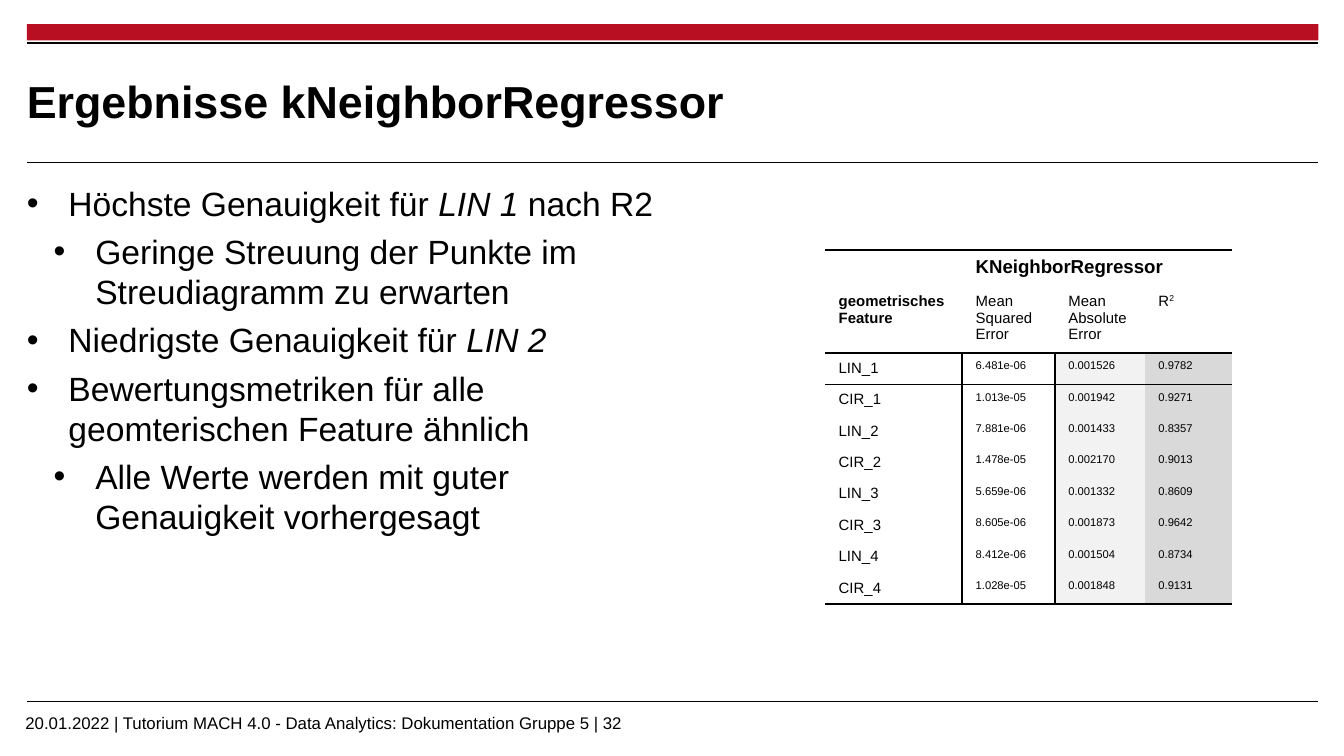
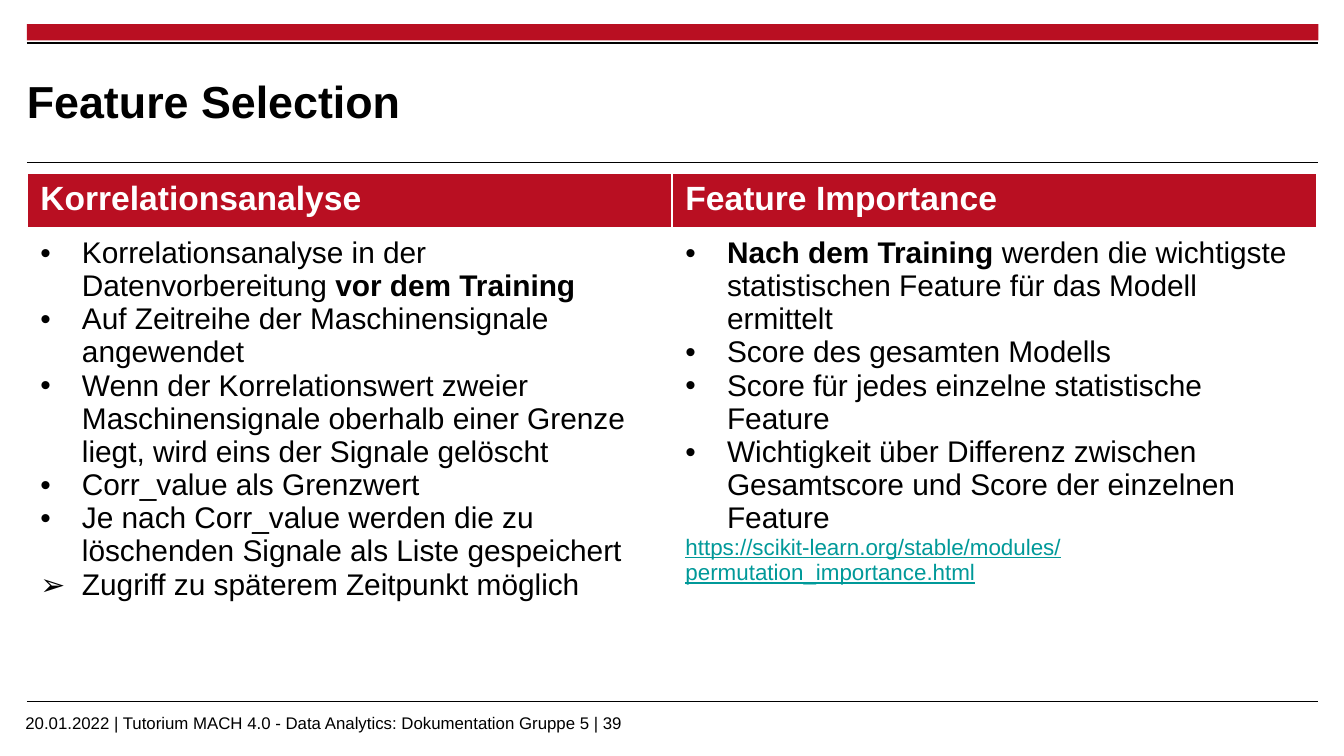
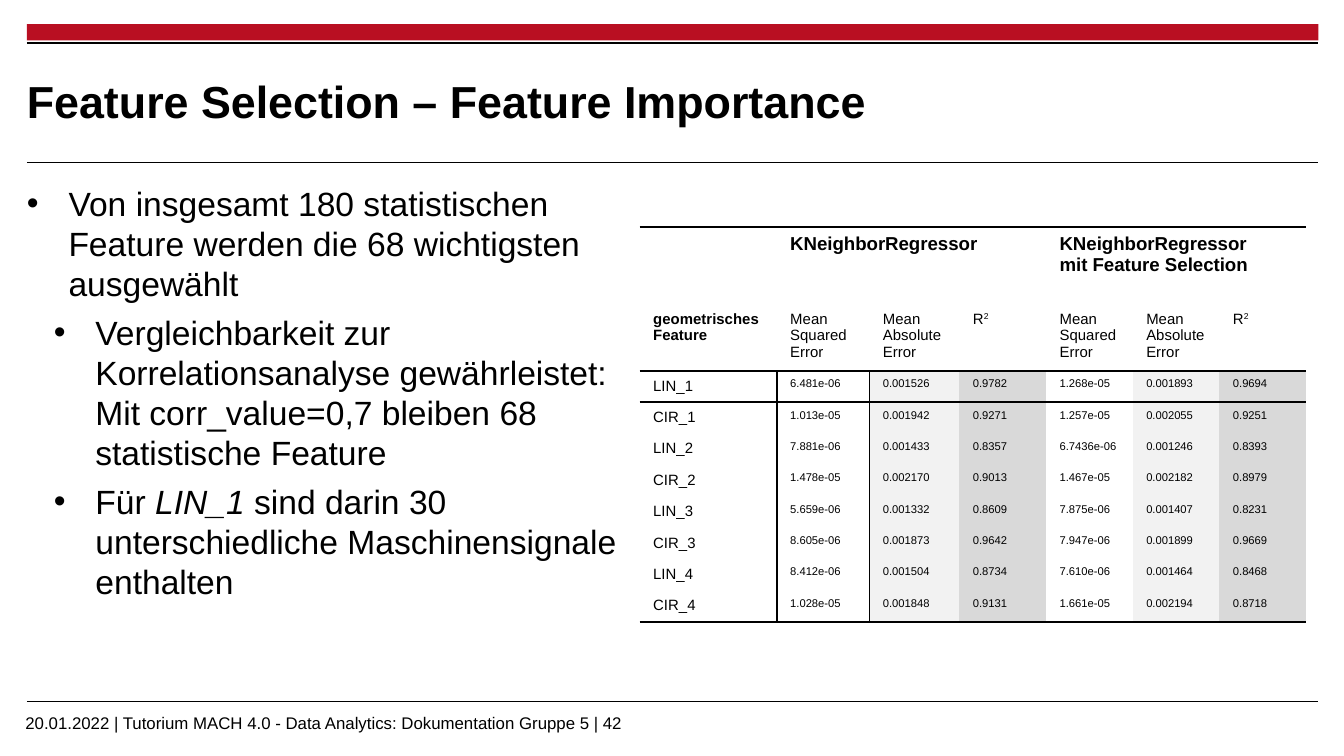
from lxml import etree
from pptx import Presentation
from pptx.dml.color import RGBColor
from pptx.enum.shapes import MSO_CONNECTOR, MSO_SHAPE
from pptx.enum.text import MSO_ANCHOR
from pptx.oxml.ns import qn
from pptx.util import Inches, Pt

RECT = MSO_SHAPE.RECTANGLE
STRAIGHT = MSO_CONNECTOR.STRAIGHT
TOP, MIDDLE = MSO_ANCHOR.TOP, MSO_ANCHOR.MIDDLE

RED = RGBColor(0xB9, 0x0F, 0x22)
BLACK = RGBColor(0x00, 0x00, 0x00)
WHITE = RGBColor(0xFF, 0xFF, 0xFF)
LIGHT_GRAY = RGBColor(0xF2, 0xF2, 0xF2)
MID_GRAY = RGBColor(0xD9, 0xD9, 0xD9)
TEAL = RGBColor(0x00, 0x99, 0x99)

FONT = "Arial"
WIDTH = 10
HEIGHT = WIDTH * 9 / 16
LEFT, RIGHT = 0.2, 9.81
HANG = 0.31
FOOTER = "20.01.2022 | Tutorium MACH 4.0 - Data Analytics: Dokumentation Gruppe 5 | {}"
PLAIN_TABLE = "{2D5ABB26-0587-4C30-8999-92F81FD0307C}"

MODELS = ["KNeighborRegressor", "KNeighborRegressor\nmit Feature Selection"]
METRICS = ["Mean Squared\nError", "Mean\nAbsolute\nError", "R*2*"]
METRIC_FILLS = [WHITE, LIGHT_GRAY, MID_GRAY]
METRIC_COLS = [1.02, 0.69, 0.67] + [2.58 / 4] * 4
SCORES = [
    ["LIN_1", "6.481e-06", "0.001526", "0.9782", "1.268e-05", "0.001893", "0.9694"],
    ["CIR_1", "1.013e-05", "0.001942", "0.9271", "1.257e-05", "0.002055", "0.9251"],
    ["LIN_2", "7.881e-06", "0.001433", "0.8357", "6.7436e-06", "0.001246", "0.8393"],
    ["CIR_2", "1.478e-05", "0.002170", "0.9013", "1.467e-05", "0.002182", "0.8979"],
    ["LIN_3", "5.659e-06", "0.001332", "0.8609", "7.875e-06", "0.001407", "0.8231"],
    ["CIR_3", "8.605e-06", "0.001873", "0.9642", "7.947e-06", "0.001899", "0.9669"],
    ["LIN_4", "8.412e-06", "0.001504", "0.8734", "7.610e-06", "0.001464", "0.8468"],
    ["CIR_4", "1.028e-05", "0.001848", "0.9131", "1.661e-05", "0.002194", "0.8718"],
]
SCORE_ROWS = [1.82 / len(SCORES)] * len(SCORES)


def write(p, text, size=18, color=BLACK, bold=False, underline=False, emphasis=None,
          bullet=None, level=0, spaced=False):
    if spaced:
        p.space_before, p.space_after = Pt(2), Pt(2.2)
    if bullet:
        p.level = level
        pPr = p._p.get_or_add_pPr()
        pPr.set("marL", str(Inches(HANG + 0.2 * level)))
        pPr.set("indent", str(-Inches(HANG)))
        etree.SubElement(pPr, qn("a:buFont"), typeface=FONT)
        etree.SubElement(pPr, qn("a:buChar"), char=bullet)
    for i, part in enumerate(text.split("*")):
        if not part:
            continue
        marked = i % 2 == 1
        r = p.add_run()
        r.text = part
        font = r.font
        font.name, font.size = FONT, Pt(size)
        font.color.rgb = color
        font.bold = bold or (marked and emphasis == "bold")
        font.italic = marked and emphasis == "italic"
        font.underline = underline
        if marked and emphasis == "super":
            r._r.get_or_add_rPr().set("baseline", "30000")
    if not text:
        etree.SubElement(p._p, qn("a:endParaRPr"), sz=str(size * 100))


def write_lines(tf, lines, **fmt):
    for i, line in enumerate(lines):
        text, extra = line if isinstance(line, tuple) else (line, {})
        p = tf.add_paragraph() if i else tf.paragraphs[0]
        write(p, text, **{**fmt, **extra})


def style_cell(cell, fill, borders):
    tcPr = cell._tc.get_or_add_tcPr()
    for side in "LRTB":
        if side in borders:
            color, width = borders[side]
            ln = etree.SubElement(tcPr, qn("a:ln" + side), w=str(Pt(width)))
            solid = etree.SubElement(ln, qn("a:solidFill"))
            etree.SubElement(solid, qn("a:srgbClr"), val=str(color))
    cell.fill.solid()
    cell.fill.fore_color.rgb = fill


class Deck:
    def __init__(self):
        self.prs = Presentation()
        self.prs.slide_width, self.prs.slide_height = Inches(WIDTH), Inches(HEIGHT)
        self.s = None

    def slide(self, title, number):
        self.s = self.prs.slides.add_slide(self.prs.slide_layouts[6])
        self.band(LEFT, 0.18, RIGHT - LEFT, 0.12)
        for y, width in [(0.32, 1.2), (1.21, 0.6), (5.22, 0.6)]:
            self.rule(y, width)
        self.text(0.09, 5.25, 7.95, 0.19, [FOOTER.format(number)], size=9)
        self.text(LEFT, 0.4, 7.46, 0.69, [title], insets=(0, 0), anchor=MIDDLE,
                  size=24, bold=True)

    def band(self, x, y, w, h):
        sp = self.s.shapes.add_shape(RECT, Inches(x), Inches(y), Inches(w), Inches(h))
        sp.shadow.inherit = False
        sp.fill.solid()
        sp.fill.fore_color.rgb = RED
        sp.line.fill.background()

    def rule(self, y, width):
        line = self.s.shapes.add_connector(
            STRAIGHT, Inches(LEFT), Inches(y), Inches(RIGHT), Inches(y))
        line.line.color.rgb = BLACK
        line.line.width = Pt(width)
        etree.SubElement(line._element.spPr, qn("a:effectLst"))

    def text(self, x, y, w, h, lines, insets=(0.1, 0.05), anchor=TOP, **fmt):
        sp = self.s.shapes.add_textbox(Inches(x), Inches(y), Inches(w), Inches(h))
        tf = sp.text_frame
        tf.word_wrap = True
        tf.vertical_anchor = anchor
        tf.margin_left = tf.margin_right = Inches(insets[0])
        tf.margin_top = tf.margin_bottom = Inches(insets[1])
        write_lines(tf, lines, **fmt)

    def body(self, w, lines):
        self.text(LEFT, 1.31, w, 3.73, lines, insets=(0, 0.05), bullet="•",
                  spaced=True, emphasis="italic")

    def table(self, x, y, cols, rows):
        frame = self.s.shapes.add_table(len(rows), len(cols), Inches(x), Inches(y),
                                        Inches(sum(cols)), Inches(sum(rows)))
        table = frame.table
        table.first_row = table.horz_banding = False
        table._tbl.tblPr.find(qn("a:tableStyleId")).text = PLAIN_TABLE
        for column, width in zip(table.columns, cols):
            column.width = Inches(width)
        for row, height in zip(table.rows, rows):
            row.height = Inches(height)
        return table

    def score_table(self, x, y, models, top_height):
        n_cols = 1 + len(METRICS) * len(models)
        top = [""] + [t for name in models for t in (name, "", "")]
        head = ["geometrisches Feature"] + METRICS * len(models)
        rows = [top, head] + [scores[:n_cols] for scores in SCORES]
        table = self.table(x, y, METRIC_COLS[:n_cols], [top_height, 0.48] + SCORE_ROWS)
        for i, row in enumerate(rows):
            data = i > 1
            for j, text in enumerate(row):
                sides = {"L": data and j == 1, "R": data and j == 0,
                         "T": i in (0, 2), "B": i in (1, len(rows) - 1)}
                fill = METRIC_FILLS[(j - 1) % 3] if data and j else WHITE
                cell = table.cell(i, j)
                style_cell(cell, fill, {k: (BLACK, 1) for k, on in sides.items() if on})
                size = 10 if i == 0 else 6 if data and j else 8
                write_lines(cell.text_frame, text.split("\n"), size=size,
                            bold=i == 0 or (i == 1 and j == 0), emphasis="super")
        for j in range(1, n_cols, 3):
            table.cell(0, j).merge(table.cell(0, j + 2))

    def comparison_table(self, columns):
        table = self.table(LEFT, 1.29, [4.8] * len(columns), [0.42, 3.46])
        thin = {side: (WHITE, 1) for side in "LRTB"}
        for j, (heading, lines) in enumerate(columns):
            head, content = table.cell(0, j), table.cell(1, j)
            style_cell(head, RED, {**thin, "B": (WHITE, 3)})
            style_cell(content, WHITE, thin)
            write_lines(head.text_frame, [heading], color=WHITE, bold=True)
            write_lines(content.text_frame, lines, size=16, bullet="•", emphasis="bold")


def main():
    deck = Deck()
    sub = {"level": 1}

    deck.slide("Ergebnisse kNeighborRegressor", 32)
    deck.body(4.77, [
        "Höchste Genauigkeit für *LIN 1* nach R2",
        ("Geringe Streuung der Punkte im Streudiagramm zu erwarten", sub),
        "Niedrigste Genauigkeit für *LIN 2*",
        "Bewertungsmetriken für alle geomterischen Feature ähnlich",
        ("Alle Werte werden mit guter Genauigkeit vorhergesagt", sub),
    ])
    deck.score_table(6.14, 1.86, MODELS[:1], 0.26)

    deck.slide("Feature Selection", 39)
    deck.comparison_table([
        ("Korrelationsanalyse", [
            "Korrelationsanalyse in der Datenvorbereitung *vor dem Training*",
            "Auf Zeitreihe der Maschinensignale angewendet",
            "Wenn der Korrelationswert zweier Maschinensignale oberhalb einer Grenze "
            "liegt, wird eins der Signale gelöscht",
            "Corr_value als Grenzwert",
            "Je nach Corr_value werden die zu löschenden Signale als Liste gespeichert",
            ("Zugriff zu späterem Zeitpunkt möglich", {"bullet": "➢"}),
        ]),
        ("Feature Importance", [
            "*Nach dem Training* werden die wichtigste statistischen Feature für das "
            "Modell ermittelt",
            "Score des gesamten Modells",
            "Score für jedes einzelne statistische Feature",
            "Wichtigkeit über Differenz zwischen Gesamtscore und Score der einzelnen "
            "Feature",
            ("https://scikit-learn.org/stable/modules/permutation_importance.html",
             {"bullet": None, "size": 12, "color": TEAL, "underline": True}),
        ]),
    ])

    deck.slide("Feature Selection – Feature Importance", 42)
    deck.body(4.41, [
        "Von insgesamt 180 statistischen Feature werden die 68 wichtigsten ausgewählt",
        ("Vergleichbarkeit zur Korrelationsanalyse gewährleistet: Mit corr_value=0,7 "
         "bleiben 68 statistische Feature", sub),
        ("Für *LIN_1* sind darin 30 unterschiedliche Maschinensignale enthalten", sub),
    ])
    deck.score_table(4.76, 1.69, MODELS, 0.57)

    deck.prs.save("out.pptx")


if __name__ == "__main__":
    main()
